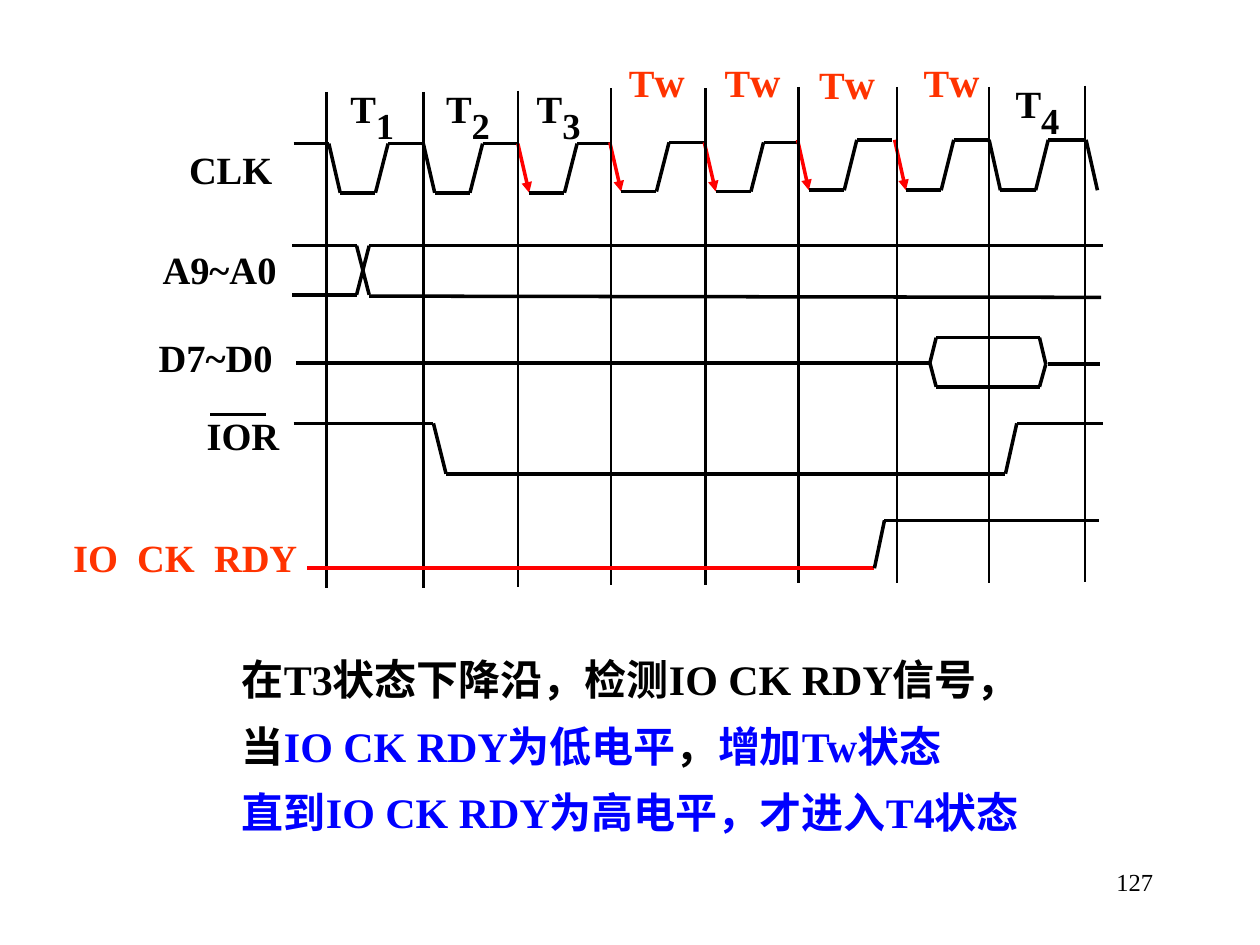
from lxml.etree import SubElement
from pptx import Presentation
from pptx.dml.color import RGBColor
from pptx.enum.shapes import MSO_CONNECTOR
from pptx.enum.text import PP_ALIGN
from pptx.oxml.ns import qn
from pptx.util import Pt

PX = 9144  # 100 px to the inch
COLORS = {"black": "000000", "red": "FF0000", "orange": "FF3300", "blue": "0000FF"}
FONT = "Times New Roman"

# divider x, divider top, clock x, clock top, label x, label top, mark
STATES = [
    (27, 29, 29, 70, 46, 4, "1"),
    (104, 29, 104, 70, 122, 4, "2"),
    (179, 28, 179, 70, 194, 4, "3"),
    (253, 26, 252, 69, 267, 0, "w"),
    (328, 26, 327, 69, 343, 0, "w"),
    (402, 25, 401, 67, 418, 2, "w"),
    (480, 25, 478, 67, 501, 0, "w"),
    (553, 25, 553, 67, 574, 0, "4"),
]


def path(slide, box, points, color="black", width=2, arrow=False):
    """Join points, given relative to the box, with straight lines."""
    left, top = box[:2]
    for (x1, y1), (x2, y2) in zip(points, points[1:]):
        ends = [n * PX for n in (left + x1, top + y1, left + x2, top + y2)]
        line = slide.shapes.add_connector(MSO_CONNECTOR.STRAIGHT, *ends)
        line.line.color.rgb = RGBColor.from_string(COLORS[color])
        line.line.width = Pt(width)
        if arrow:
            SubElement(line.line._ln, qn("a:tailEnd"), type="triangle")
        SubElement(line._element.spPr, qn("a:effectLst"))


def frame(slide, box, pad=(0, 0)):
    text = slide.shapes.add_textbox(*[n * PX for n in box]).text_frame
    text.word_wrap = True
    text.margin_left = text.margin_right = pad[0] * PX
    text.margin_top = text.margin_bottom = pad[1] * PX
    return text


def add_run(para, words, size, color="black", bold=True):
    run = para.add_run()
    run.text = words
    run.font.name = FONT
    run.font.size = Pt(size)
    run.font.bold = bold
    run.font.color.rgb = RGBColor.from_string(COLORS[color])
    return run


def label(slide, box, words, color="black"):
    para = frame(slide, box).paragraphs[0]
    para.alignment = PP_ALIGN.JUSTIFY
    add_run(para, words, 22, color)
    return para


def states(slide, box):
    """Draw the clock, the state dividers and the state names."""
    left, top = box[:2]
    path(slide, box, [(1, 70), (29, 70)])
    for edge, head, x, y, name_x, name_y, mark in STATES:
        wait = mark == "w"
        test = wait or mark == "3"
        low = y + (40 if y == 67 else 39)
        path(slide, box, [(x, y), (x + 9, low)], "red" if test else "black", arrow=test)
        path(slide, box, [(x + 9, low), (x + 37, low), (x + 47, y), (x + 75, y)])
        path(slide, box, [(edge, head), (edge, head + 394)], width=1.5)
        tint = "orange" if wait else "black"
        para = label(slide, (left + name_x, top + name_y, 58, 60), "T", tint)
        run = add_run(para, mark, 24 if wait else 36, tint)
        if not wait:
            run.font._element.set("baseline", "-25000")
    path(slide, box, [(629, 24), (629, 418)], width=1.5)
    path(slide, box, [(630, 67), (639, 107)])
    label(slide, (left - 82, top + 72, 72, 49), "CLK")


def address(slide, box):
    left, top = box[:2]
    label(slide, (left - 103, top, 111, 39), "A9~A0")
    path(slide, box, [(0, 0), (51, 0), (61, 39)])
    path(slide, box, [(0, 39), (51, 39), (61, 0), (643, 0)])
    path(slide, box, [(61, 40), (642, 41)])


def data(slide, box):
    left, top = box[:2]
    label(slide, (left - 109, top - 3, 111, 39), "D7~D0")
    path(slide, box, [(0, 20), (503, 20), (508, 39), (590, 39), (595, 21)])
    path(slide, box, [(503, 20), (508, 0), (590, 0), (595, 21)])
    path(slide, box, [(597, 21), (638, 21)])


def read(slide, box):
    left, top = box[:2]
    label(slide, (left - 69, top - 9, 64, 39), "IOR")
    path(slide, box, [(-66, -7), (-22, -7)])
    path(slide, box, [(0, 0), (111, 0), (121, 40), (565, 40), (574, 0), (642, 0)])


def ready(slide, box):
    left, top = box[:2]
    para = label(slide, (left - 186, top + 11, 199, 37), "IO", "orange")
    for word in ("CK", "RDY"):
        gap = add_run(para, " ", 22, "orange")
        gap.font._element.set("spc", "550")
        add_run(para, word, 22, "orange")
    path(slide, box, [(0, 38), (450, 38)], "red")
    path(slide, box, [(450, 38), (458, 0), (628, 0)])


def notes(slide, box):
    lines = [
        [("在T3状态下降沿，检测IO CK RDY信号，", "black")],
        [("当", "black"), ("IO CK RDY为低电平", "blue"),
         ("，", "black"), ("增加Tw状态", "blue")],
        [("直到IO CK RDY为高电平，才进入T4状态", "blue")],
    ]
    text = frame(slide, box)
    for i, parts in enumerate(lines):
        para = text.add_paragraph() if i else text.paragraphs[0]
        para.space_after = Pt(9)
        for words, color in parts:
            add_run(para, words, 24, color)


def number(slide, box):
    para = frame(slide, box, (10, 5)).paragraphs[0]
    para.alignment = PP_ALIGN.RIGHT
    add_run(para, "127", 14, bold=False)


def main():
    deck = Presentation()
    deck.slide_width, deck.slide_height = 1000 * PX, 750 * PX
    slide = deck.slides.add_slide(deck.slide_layouts[6])
    states(slide, (232, 44, 640, 424))
    address(slide, (232, 195, 643, 41))
    data(slide, (235, 268, 638, 39))
    read(slide, (233, 336, 642, 40))
    ready(slide, (244, 413, 628, 38))
    notes(slide, (192, 519, 675, 145))
    number(slide, (717, 683, 208, 50))
    deck.save("out.pptx")


if __name__ == "__main__":
    main()
